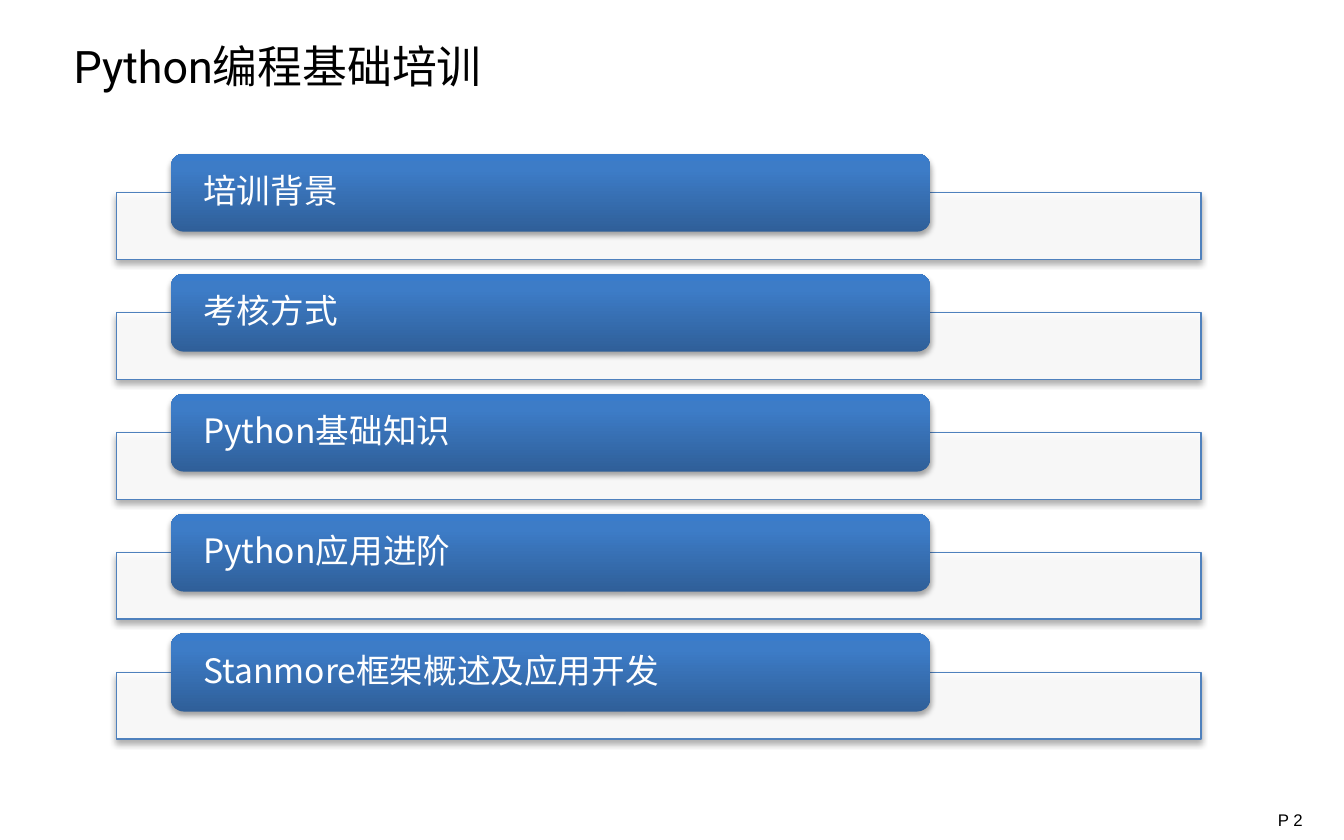
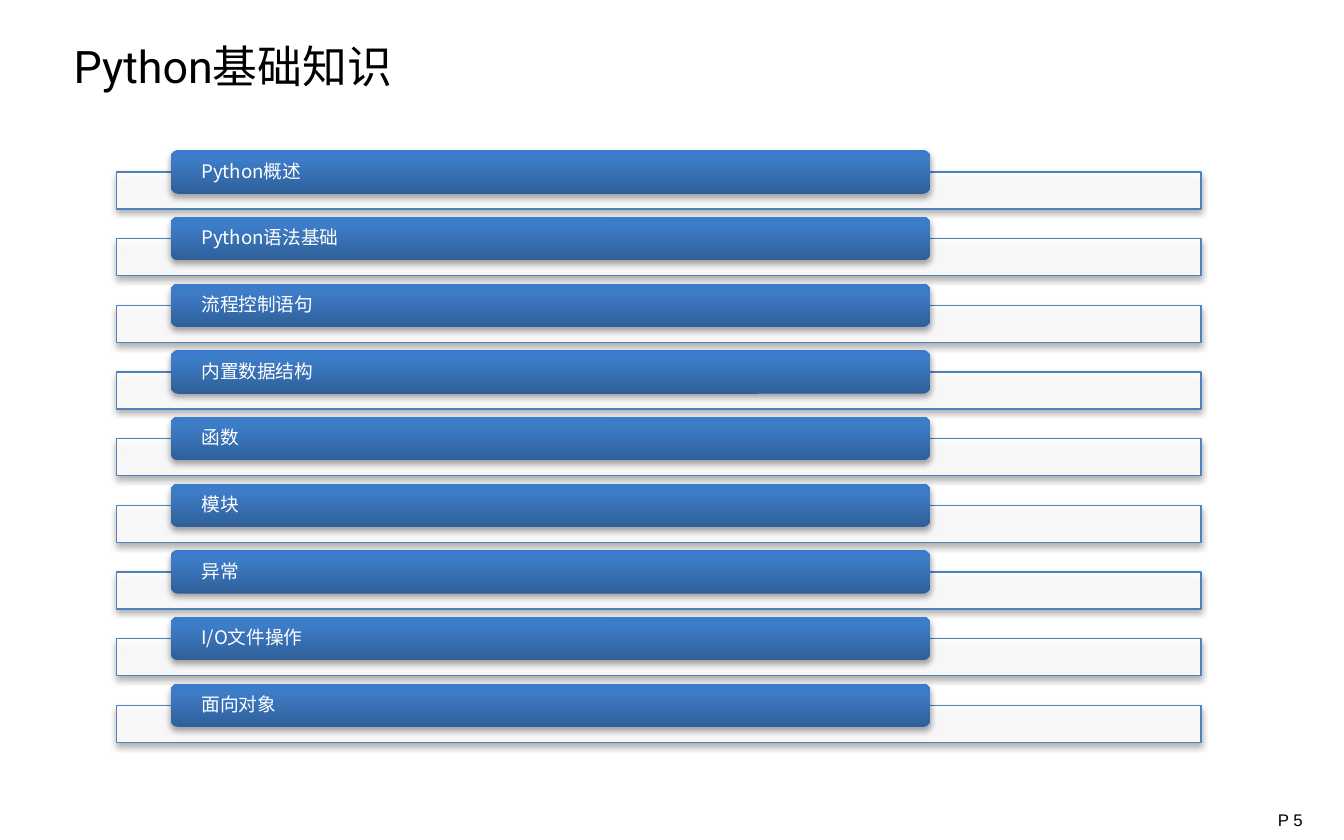
from lxml import etree
from pptx import Presentation
from pptx.dml.color import RGBColor
from pptx.enum.shapes import MSO_SHAPE
from pptx.enum.text import MSO_ANCHOR, PP_ALIGN
from pptx.oxml import parse_xml
from pptx.oxml.ns import qn
from pptx.util import Cm, Pt

# Content: title, page, text size, topics
SLIDES = [
    ("Python编程基础培训", 2, 18, [
        "培训背景", "考核方式", "Python基础知识", "Python应用进阶",
        "Stanmore框架概述及应用开发"]),
    ("Python基础知识", 5, 10, [
        "Python概述", "Python语法基础", "流程控制语句", "内置数据结构",
        "函数", "模块", "异常", "I/O文件操作", "面向对象"]),
]

# Shared style
BLACK = RGBColor(0x00, 0x00, 0x00)
WHITE = RGBColor(0xFF, 0xFF, 0xFF)
BLUE = RGBColor(0x4F, 0x81, 0xBD)
DARK = RGBColor(0x2F, 0x5F, 0x99)
MID = RGBColor(0x3D, 0x7C, 0xC7)
LIGHT = RGBColor(0x3A, 0x7C, 0xCB)
STOPS = [(0, DARK), (80, MID), (100, LIGHT)]
SANS = "Noto Sans CJK SC"
RECT, ROUND = MSO_SHAPE.RECTANGLE, MSO_SHAPE.ROUNDED_RECTANGLE
MIDDLE, LEFT = MSO_ANCHOR.MIDDLE, PP_ALIGN.LEFT
NS = 'xmlns:a="http://schemas.openxmlformats.org/drawingml/2006/main"'

# Places in cm; row sizes are cm per point of text
BAR_X, BAR_W = 2.2, 20.5
PILL_X, PILL_W = 3.23, 14.35
CENTER = 8.44
BAR, PILL, RISE, PITCH = 0.07, 0.082, 0.041, 0.126


def style(para, size, color, latin):
    font = para.font
    font.size, font.color.rgb, font.name = Pt(size), color, latin
    ea = etree.SubElement(para._p.pPr.find(qn("a:defRPr")), qn("a:ea"))
    ea.set("typeface", SANS)
    para.alignment = LEFT


def shade(shape):
    shape.shadow.inherit = False
    effects = shape._element.spPr.find(qn("a:effectLst"))
    effects.append(parse_xml(
        f'<a:outerShdw {NS} blurRad="40000" dist="23000" dir="5400000" '
        'rotWithShape="0"><a:srgbClr val="000000"><a:alpha val="35000"/>'
        '</a:srgbClr></a:outerShdw>'))


def add_bar(slide, top, height):
    bar = slide.shapes.add_shape(
        RECT, Cm(BAR_X), Cm(top), Cm(BAR_W), Cm(height))
    bar.fill.solid()
    bar.fill.fore_color.rgb = WHITE
    color = bar._element.spPr.find(qn("a:solidFill"))[0]
    etree.SubElement(color, qn("a:alpha")).set("val", "90000")
    bar.line.color.rgb, bar.line.width = BLUE, Pt(0.75)
    shade(bar)


def add_pill(slide, top, height, text, size):
    pill = slide.shapes.add_shape(
        ROUND, Cm(PILL_X), Cm(top), Cm(PILL_W), Cm(height))
    # Three-stop gradient, dark at the bottom
    pill.fill.gradient()
    grad = pill._element.spPr.find(qn("a:gradFill"))
    stops = grad.find(qn("a:gsLst"))
    for old in list(stops):
        stops.remove(old)
    for pos, color in STOPS:
        stop = etree.SubElement(stops, qn("a:gs"), pos=str(pos * 1000))
        etree.SubElement(stop, qn("a:srgbClr"), val=str(color))
    pill.fill.gradient_angle = 90
    pill.line.fill.background()
    shade(pill)
    # Label
    frame = pill.text_frame
    frame.word_wrap, frame.vertical_anchor = True, MIDDLE
    frame.margin_left = frame.margin_right = Cm(0.54)
    frame.margin_top = frame.margin_bottom = 0
    para = frame.paragraphs[0]
    para.text, para.line_spacing = text, 0.9
    style(para, size, WHITE, SANS)


def add_title(slide, text):
    title = slide.shapes.title
    title.left, title.top = Cm(1.19), Cm(0.43)
    title.width, title.height = Cm(15.49), Cm(1.63)
    frame = title.text_frame
    frame.vertical_anchor = MIDDLE
    frame.margin_left = frame.margin_right = Cm(0.2)
    frame.margin_top = frame.margin_bottom = Cm(0.1)
    para = frame.paragraphs[0]
    para.text = text
    style(para, 24, BLACK, "Roboto")


def add_page(slide, page):
    box = slide.shapes.add_textbox(Cm(23.9), Cm(15.19), Cm(1.3), Cm(0.79))
    box.text_frame.word_wrap = True
    para = box.text_frame.paragraphs[0]
    para.text = f"P {page}"
    style(para, 9, BLACK, "Arial")


def add_list(slide, topics, size):
    total = (RISE + PITCH * (len(topics) - 1) + BAR) * size
    start = CENTER - total / 2
    for row, topic in enumerate(topics):
        top = start + row * PITCH * size
        add_bar(slide, top + RISE * size, BAR * size)
        add_pill(slide, top, PILL * size, topic, size)


def main():
    deck = Presentation()
    deck.slide_width, deck.slide_height = Cm(25.4), Cm(15.88)
    for title, page, size, topics in SLIDES:
        slide = deck.slides.add_slide(deck.slide_layouts[5])
        add_page(slide, page)
        add_title(slide, title)
        add_list(slide, topics, size)
    deck.save("out.pptx")


if __name__ == "__main__":
    main()
